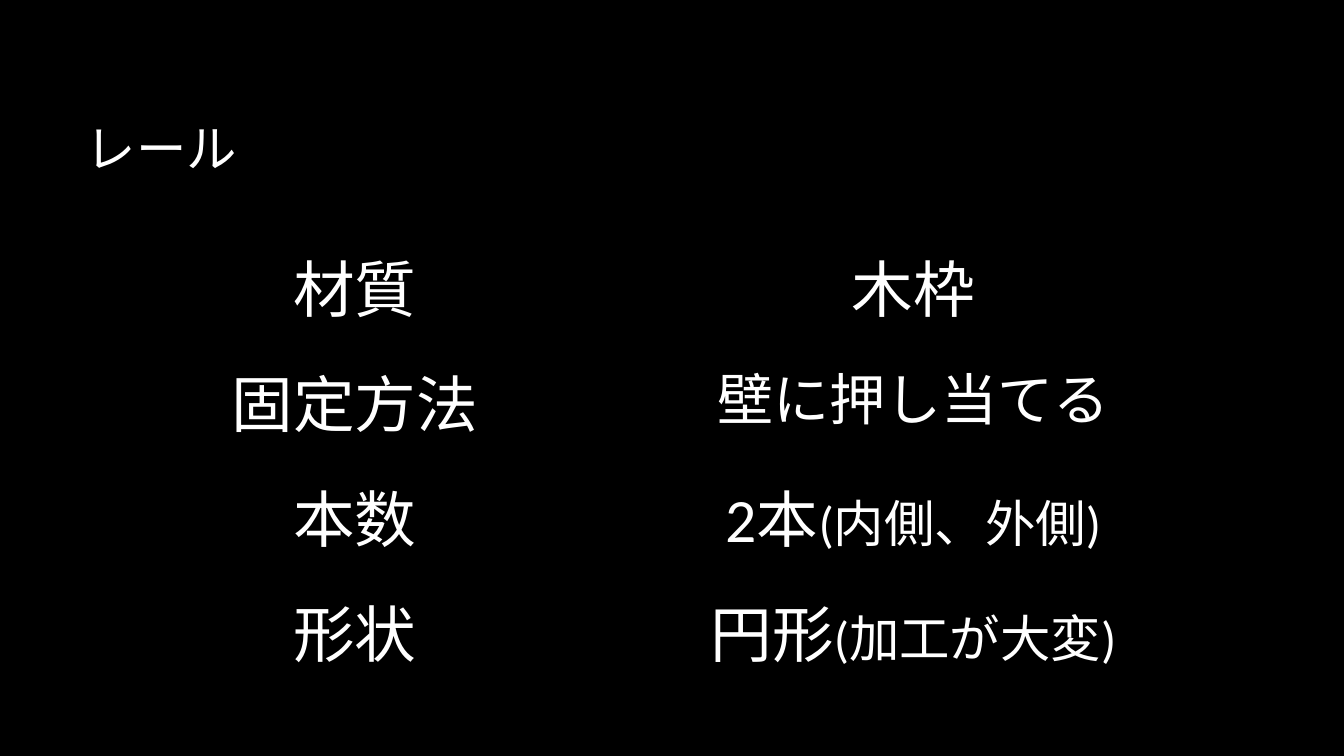
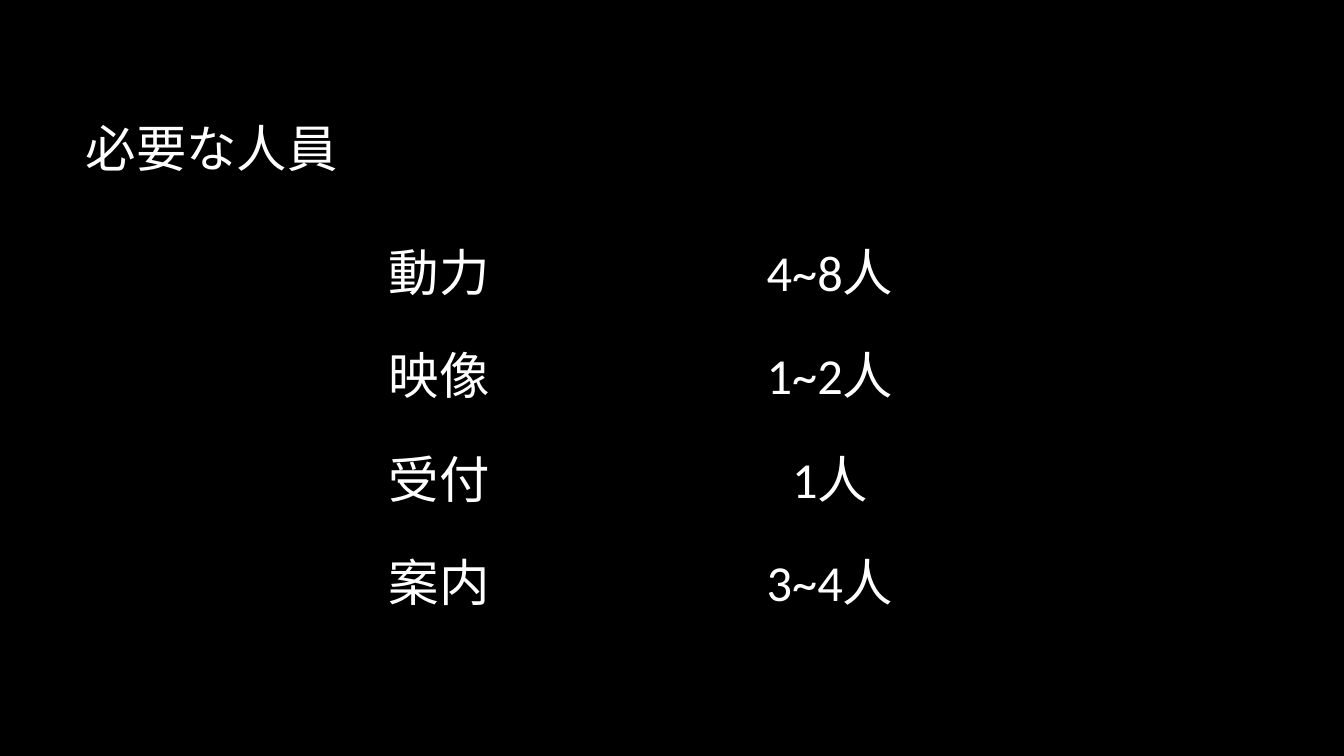
"""Builds two black slides, each with a title and a borderless two-column table."""
from pptx import Presentation
from pptx.dml.color import RGBColor
from pptx.enum import text
from pptx.oxml.ns import qn
from pptx.util import Inches, Pt

COLORS = {"background": "000000", "text": "FFFFFF"}
FONT = "Calibri"
NOTE_SIZE = TITLE_SIZE = 36
TITLE_BOX = (0.75, 0.67, 11.08, 1.59)
NO_STYLE_NO_GRID = "{2D5ABB26-0587-4C30-8999-92F81FD0307C}"

SLIDES = [
    {
        "title": "レール",
        "box": (0.75, 2.34, 11.08, 4.56),
        "rows": [
            [("材質", 44), ("木枠", 44)],
            [("固定方法", 44), ("壁に押し当てる", 40)],
            [("本数", 44), ("2本", 44, "(内側、外側)")],
            [("形状", 44), ("円形", 44, "(加工が大変)")],
        ],
    },
    {
        "title": "必要な人員",
        "box": (2.42, 2.26, 7.75, 4.11),
        "rows": [
            [("動力", 36), ("4~8人", 36)],
            [("映像", 36), ("1~2人", 36)],
            [("受付", 36), ("1人", 36)],
            [("案内", 36), ("3~4人", 36)],
        ],
    },
]


def write(paragraph, size, align, wording, note=None):
    paragraph.alignment = align
    paragraph.font.name = FONT
    paragraph.font.size = Pt(size)
    paragraph.font.bold = False
    paragraph.font.color.rgb = RGBColor.from_string(COLORS["text"])
    paragraph.add_run().text = wording
    if note:
        note_run = paragraph.add_run()
        note_run.text = note
        note_run.font.size = Pt(NOTE_SIZE)


def add_title(slide, wording):
    title = slide.shapes.title
    title.left, title.top, title.width, title.height = map(Inches, TITLE_BOX)
    title.text_frame.vertical_anchor = text.MSO_ANCHOR.MIDDLE
    write(title.text_frame.paragraphs[0], TITLE_SIZE, text.PP_ALIGN.LEFT, wording)


def add_rows(slide, box, rows):
    table = slide.shapes.add_table(len(rows), len(rows[0]), *map(Inches, box)).table
    table.first_row = table.horz_banding = False
    table._tbl.tblPr.find(qn("a:tableStyleId")).text = NO_STYLE_NO_GRID
    for r, row in enumerate(rows):
        for c, (wording, size, *note) in enumerate(row):
            cell = table.cell(r, c)
            cell.fill.background()
            write(cell.text_frame.paragraphs[0], size, text.PP_ALIGN.CENTER, wording, *note)


def main():
    prs = Presentation()
    prs.slide_width, prs.slide_height = Inches(13.33), Inches(7.5)
    backdrop = prs.slide_master.background.fill
    backdrop.solid()
    backdrop.fore_color.rgb = RGBColor.from_string(COLORS["background"])
    title_only = prs.slide_layouts[5]
    for content in SLIDES:
        slide = prs.slides.add_slide(title_only)
        add_title(slide, content["title"])
        add_rows(slide, content["box"], content["rows"])
    prs.save("out.pptx")


if __name__ == "__main__":
    main()
